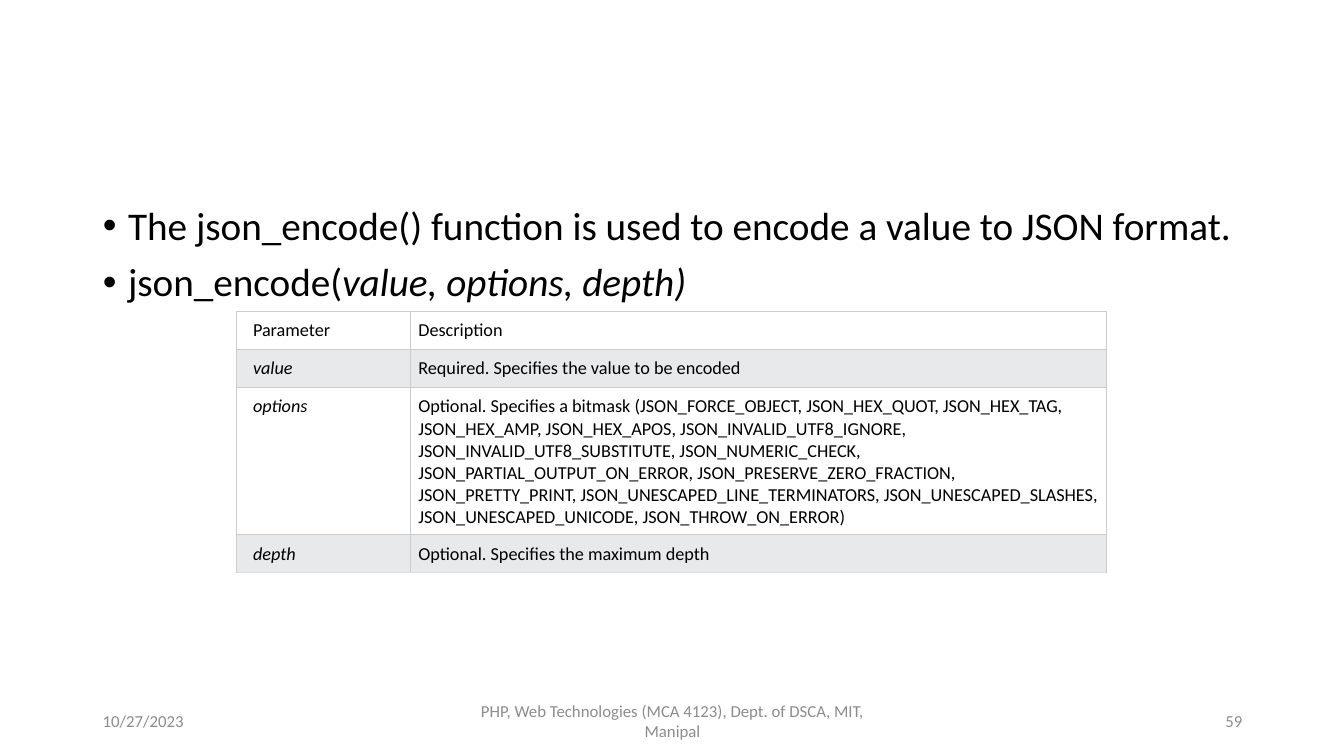
import pptx
import pptx.dml.color
import pptx.enum.text
import pptx.oxml
import pptx.oxml.ns
import pptx.util
from pptx.util import Inches

FONT = "Calibri"
BLACK, GREY, WHITE, BAND = "000000", "8C8C8C", "FFFFFF", "E7E9EB"
BORDER, BOTTOM_BORDER = "CCCCCC", "DDDDDD"
ALIGN = pptx.enum.text.PP_ALIGN
NAMESPACE = pptx.oxml.ns.nsdecls("a")

BULLETS = [
    [("The json_encode() function is used to encode a value to JSON format.", False)],
    [("json_encode(", False), ("value, options, depth)", True)],
]
FOOTERS = [
    ("10/27/2023", 0.92, 3, ALIGN.LEFT),
    ("PHP, Web Technologies (MCA 4123), Dept. of DSCA, MIT, Manipal", 4.42, 4.5, ALIGN.CENTER),
    ("59", 9.42, 3, ALIGN.RIGHT),
]
PARAMETERS = [
    ("Parameter", "Description"),
    ("value", "Required. Specifies the value to be encoded"),
    ("options", "Optional. Specifies a bitmask (JSON_FORCE_OBJECT, JSON_HEX_QUOT, "
     "JSON_HEX_TAG, JSON_HEX_AMP, JSON_HEX_APOS, JSON_INVALID_UTF8_IGNORE, "
     "JSON_INVALID_UTF8_SUBSTITUTE, JSON_NUMERIC_CHECK, JSON_PARTIAL_OUTPUT_ON_ERROR, "
     "JSON_PRESERVE_ZERO_FRACTION, JSON_PRETTY_PRINT, JSON_UNESCAPED_LINE_TERMINATORS, "
     "JSON_UNESCAPED_SLASHES, JSON_UNESCAPED_UNICODE, JSON_THROW_ON_ERROR)"),
    ("depth", "Optional. Specifies the maximum depth"),
]
COLUMN_WIDTHS = [1.72, 6.9]
ROW_HEIGHTS = [0.37, 0.37, 1.43, 0.37]


def color(value):
    return pptx.dml.color.RGBColor.from_string(value)


def add_run(paragraph, text, size, text_color, italic=False):
    run = paragraph.add_run()
    run.text = text
    run.font.name = FONT
    run.font.size = pptx.util.Pt(size)
    run.font.italic = italic
    run.font.color.rgb = color(text_color)


def set_bullet(paragraph):
    properties = paragraph._p.get_or_add_pPr()
    properties.set("marL", str(Inches(0.25)))
    properties.set("indent", str(Inches(-0.25)))
    for element in ('<a:buFont %s typeface="Arial"/>', '<a:buChar %s char="•"/>'):
        properties.append(pptx.oxml.parse_xml(element % NAMESPACE))


def fill_body(body):
    body.left, body.top = Inches(0.92), Inches(2)
    body.width, body.height = Inches(11.5), Inches(4.76)
    frame = body.text_frame
    frame.auto_size = pptx.enum.text.MSO_AUTO_SIZE.NONE
    for index, pieces in enumerate(BULLETS):
        paragraph = frame.add_paragraph() if index else frame.paragraphs[0]
        paragraph.line_spacing = 0.9
        paragraph.space_before = pptx.util.Pt(10)
        set_bullet(paragraph)
        for text, italic in pieces:
            add_run(paragraph, text, 28, BLACK, italic)


def add_footer(slide, text, left, width, alignment):
    box = slide.shapes.add_textbox(Inches(left), Inches(6.95), Inches(width), Inches(0.4))
    frame = box.text_frame
    frame.word_wrap = True
    frame.vertical_anchor = pptx.enum.text.MSO_ANCHOR.MIDDLE
    frame.paragraphs[0].alignment = alignment
    add_run(frame.paragraphs[0], text, 12, GREY)


def set_borders(cell, bottom):
    properties = cell._tc.get_or_add_tcPr()
    sides = {"lnL": BORDER, "lnR": BORDER, "lnT": BORDER, "lnB": bottom}
    for index, (side, line_color) in enumerate(sides.items()):
        properties.insert(index, pptx.oxml.parse_xml(
            f'<a:{side} {NAMESPACE} w="{pptx.util.Pt(0.75)}"><a:solidFill>'
            f'<a:srgbClr val="{line_color}"/></a:solidFill></a:{side}>'))


def add_parameter_table(slide):
    table = slide.shapes.add_table(
        len(PARAMETERS), len(COLUMN_WIDTHS), Inches(2.35), Inches(3.09),
        Inches(sum(COLUMN_WIDTHS)), Inches(sum(ROW_HEIGHTS))).table
    for column, width in zip(table.columns, COLUMN_WIDTHS):
        column.width = Inches(width)
    for row, height in zip(table.rows, ROW_HEIGHTS):
        row.height = Inches(height)
    for row_index, texts in enumerate(PARAMETERS):
        last = row_index == len(PARAMETERS) - 1
        for column_index, text in enumerate(texts):
            cell = table.cell(row_index, column_index)
            cell.margin_left = Inches(0.08 if column_index else 0.16)
            cell.margin_right = cell.margin_top = cell.margin_bottom = Inches(0.08)
            cell.fill.solid()
            cell.fill.fore_color.rgb = color(BAND if row_index % 2 else WHITE)
            set_borders(cell, BOTTOM_BORDER if last else BORDER)
            italic = row_index > 0 and column_index == 0
            paragraph = cell.text_frame.paragraphs[0]
            add_run(paragraph, text, 13, BLACK, italic)
            for run in paragraph.runs:
                run.font.bold = False


def main():
    presentation = pptx.Presentation()
    presentation.slide_width = Inches(13.33)
    presentation.slide_height = Inches(7.5)
    slide = presentation.slides.add_slide(presentation.slide_layouts[1])
    title = slide.shapes.title
    title._element.getparent().remove(title._element)
    fill_body(slide.placeholders[1])
    for footer in FOOTERS:
        add_footer(slide, *footer)
    add_parameter_table(slide)
    presentation.save("out.pptx")


if __name__ == "__main__":
    main()
